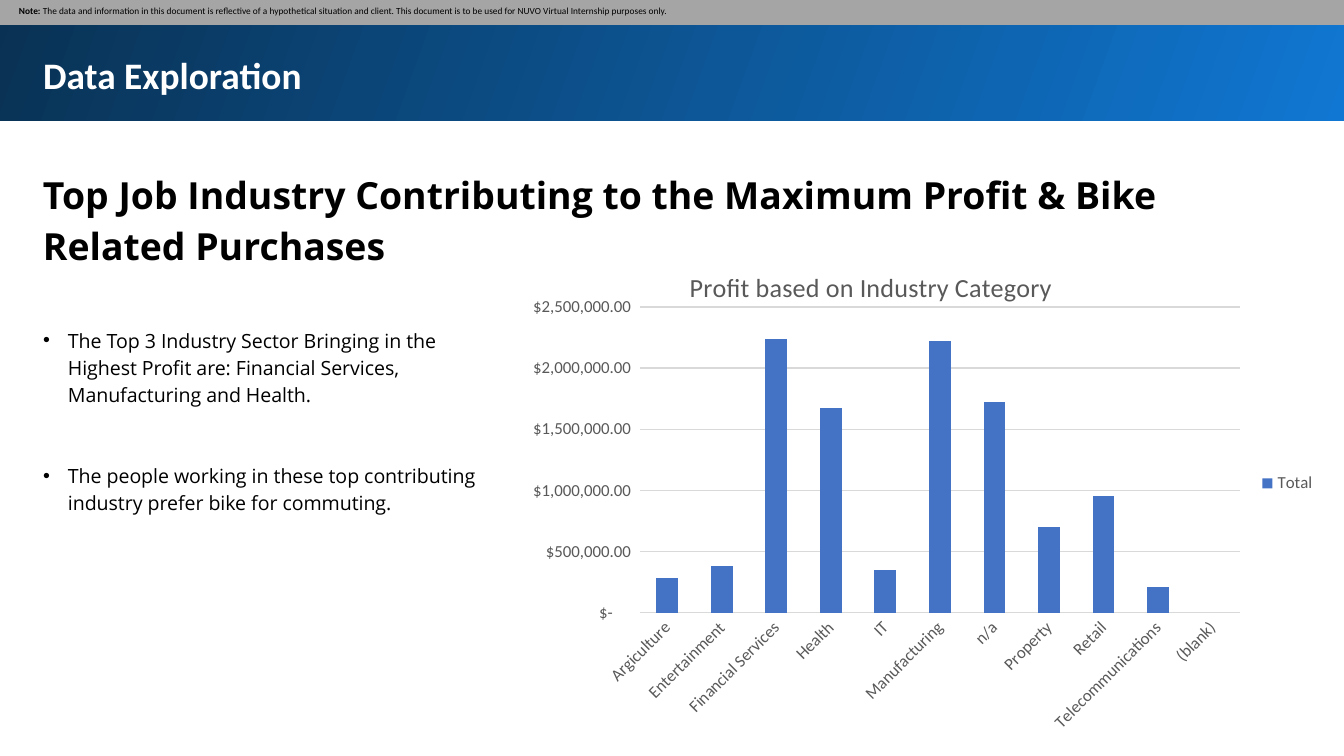
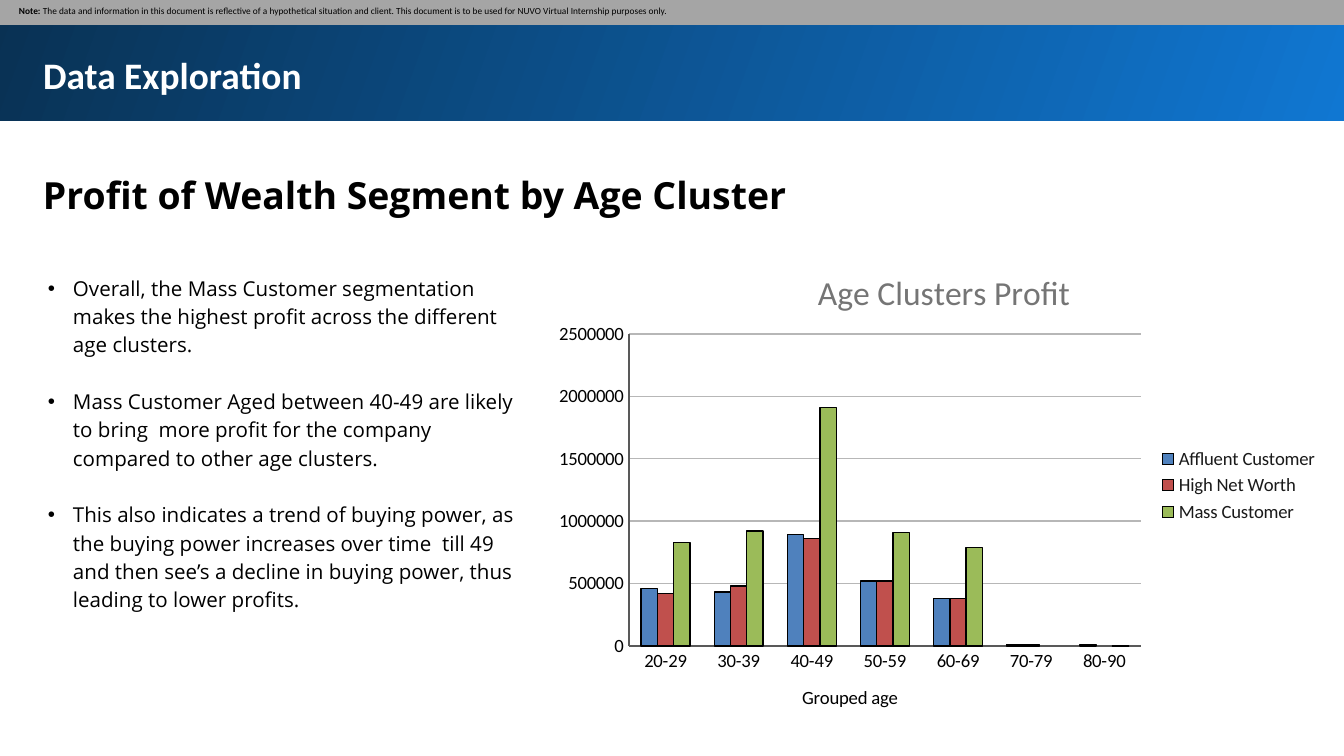
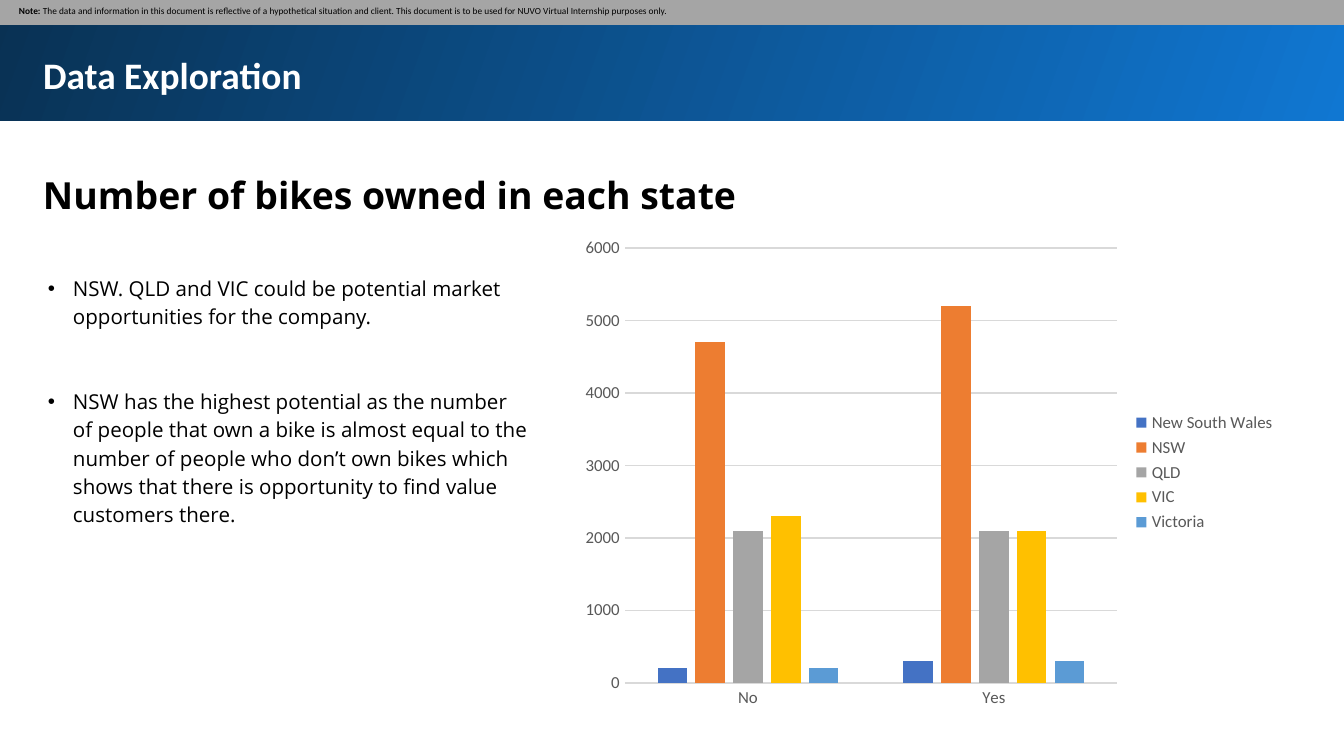
from lxml import etree
from pptx import Presentation
from pptx import util as u
from pptx.chart.data import CategoryChartData
from pptx.dml.color import RGBColor
from pptx.enum import chart as ch, shapes, text
from pptx.oxml.ns import qn

EMU_PER_PIXEL = 914400 / 134.4
COLORS = {
    "black": "000000", "white": "FFFFFF", "note": "A5A5A5",
    "band_light": "1077D2", "band_dark": "093153",
    "label": "595959", "grid": "D9D9D9", "grid_dark": "B7B7B7",
    "title_gray": "757575", "legend_dark": "1A1A1A",
    "blue": "4472C4", "orange": "ED7D31", "gray": "A5A5A5",
    "gold": "FFC000", "sky": "5B9BD5",
    "steel": "4F81BD", "red": "C0504D", "green": "9BBB59",
}
rgb = {name: RGBColor.from_string(value) for name, value in COLORS.items()}
BODY_FONT, HEADING_FONT = "Calibri", "Open Sans"
INSET = 13
DOLLARS = ('_-[$$-409]* #,##0.00_ ;_-[$$-409]* \\-#,##0.00\\ ;'
           '_-[$$-409]* "-"??_ ;_-@_ ')


def px(*lengths):
    return [u.Emu(round(n * EMU_PER_PIXEL)) for n in lengths]


def style(font, size, color, name=BODY_FONT, bold=False):
    font.size, font.name, font.bold = u.Pt(size), name, bold
    font.color.rgb = rgb[color]


# What each slide holds; boxes are left, top, width, height
SLIDES = [
    {
        "heading": "Top Job Industry Contributing to the Maximum Profit "
                   "& Bike Related Purchases",
        "heading_height": 128,
        "list_box": (30, 312, 473, 271), "list_size": 10.5, "list_gap": 29,
        "bullets": [
            "The Top 3 Industry Sector Bringing in the Highest Profit are: "
            "Financial Services, Manufacturing and Health.",
            "The people working in these top contributing industry prefer "
            "bike for commuting.",
        ],
        "chart_box": (515, 224, 814, 519), "plot_box": (640, 307, 600, 306),
        "title": ("Profit based on Industry Category", 14, "label", 685, 265),
        "categories": ["Argiculture", "Entertainment", "Financial Services",
                       "Health", "IT", "Manufacturing", "n/a", "Property",
                       "Retail", "Telecommunications", "(blank)"],
        "series": [("Total", "blue", [280000, 380000, 2240000, 1670000, 350000,
                                      2220000, 1720000, 700000, 950000,
                                      210000, None])],
        "maximum": 2500000, "step": 500000, "format": DOLLARS,
        "size": 9, "axis_color": "label", "legend_color": "label",
        "grid": "grid", "gap": 150, "overlap": 0, "label_turn": -45,
    },
    {
        "heading": "Profit of Wealth Segment by Age Cluster",
        "heading_height": 75,
        "list_box": (35, 259, 508, 368), "list_size": 11, "list_gap": 15.2,
        "bullets": [
            "Overall, the Mass Customer segmentation makes the highest profit "
            "across the different age clusters.",
            "Mass Customer Aged between 40-49 are likely to bring  more profit "
            "for the company compared to other age clusters.",
            "This also indicates a trend of buying power, as the buying power "
            "increases over time  till 49 and then see’s a decline in buying "
            "power, thus leading to lower profits.",
        ],
        "chart_box": (543, 235, 789, 501), "plot_box": (629, 334, 512, 312),
        "title": ("Age Clusters Profit", 18, "title_gray", 812, 263),
        "axis_title": "Grouped age",
        "categories": ["20-29", "30-39", "40-49", "50-59", "60-69", "70-79",
                       "80-90"],
        "series": [
            ("Affluent Customer", "steel",
             [460000, 430000, 890000, 520000, 380000, 10000, 10000]),
            ("High Net Worth", "red",
             [420000, 480000, 860000, 520000, 380000, 10000, None]),
            ("Mass Customer", "green",
             [830000, 920000, 1910000, 910000, 790000, None, 0]),
        ],
        "outline": "black",
        "maximum": 2500000, "step": 500000, "format": "General",
        "size": 10, "axis_color": "black", "legend_color": "legend_dark",
        "grid": "grid_dark", "axis_line": "label", "value_line": "label",
        "gap": 150, "overlap": 0,
    },
    {
        "heading": "Number of bikes owned in each state",
        "heading_height": 75,
        "list_box": (35, 259, 508, 282), "list_size": 11, "list_gap": 30.4,
        "bullets": [
            "NSW. QLD and VIC could be potential market opportunities for the "
            "company.",
            "NSW has the highest potential as the number of people that own a "
            "bike is almost equal to the number of people who don’t own bikes "
            "which shows that there is opportunity to find value customers "
            "there.",
        ],
        "chart_box": (571, 228, 718, 489), "plot_box": (625, 248, 492, 435),
        "categories": ["No", "Yes"],
        "series": [
            ("New South Wales", "blue", [200, 300]),
            ("NSW", "orange", [4700, 5200]),
            ("QLD", "gray", [2100, 2100]),
            ("VIC", "gold", [2300, 2100]),
            ("Victoria", "sky", [200, 300]),
        ],
        "maximum": 6000, "step": 1000, "format": "General",
        "size": 9, "axis_color": "label", "legend_color": "label",
        "grid": "grid", "axis_line": "grid", "gap": 219, "overlap": -27,
    },
]

deck = Presentation()
deck.slide_width, deck.slide_height = px(1344, 756)

for content in SLIDES:
    page = deck.slides.add_slide(deck.slide_layouts[1])
    title, body = page.placeholders

    # Gradient band, behind everything else
    band = page.shapes.add_shape(shapes.MSO_SHAPE.RECTANGLE,
                                 *px(-3, -3, 1351, 124))
    band.shadow.inherit = False
    band.line.fill.background()
    band.fill.gradient()
    band.fill.gradient_angle = 160
    for stop, position, color in zip(band.fill.gradient_stops, (0, 1),
                                     ("band_light", "band_dark")):
        stop.position, stop.color.rgb = position, rgb[color]
    page.shapes._spTree.insert(2, band._element)

    # Title, heading and list share one frame setup
    heading = page.shapes.add_textbox(0, 0, 0, 0)
    boxes = [
        (title, (30, 39, 1259, 69), ["Data Exploration"],
         (20, "white", BODY_FONT, True), 1),
        (heading, (30, 152, 1259, content["heading_height"]),
         [content["heading"]], (20, "black", HEADING_FONT, True), 1.15),
        (body, content["list_box"], content["bullets"],
         (content["list_size"], "black", HEADING_FONT), 1.15),
    ]
    for box, place, lines, look, spacing in boxes:
        box.left, box.top, box.width, box.height = px(*place)
        frame = box.text_frame
        frame.word_wrap = True
        frame.auto_size = text.MSO_AUTO_SIZE.NONE
        frame.vertical_anchor = text.MSO_ANCHOR.TOP
        (frame.margin_left, frame.margin_top,
         frame.margin_right, frame.margin_bottom) = px(*[INSET] * 4)
        for number, line in enumerate(lines):
            para = frame.add_paragraph() if number else frame.paragraphs[0]
            para.alignment = text.PP_ALIGN.LEFT
            para.line_spacing = spacing
            para.space_before = u.Pt(content["list_gap"] if number else 0)
            para.space_after = u.Pt(0)
            span = para.add_run()
            span.text = line
            style(span.font, *look)
            if box is body:
                props = para._p.get_or_add_pPr()
                indent = px(25)[0]
                props.set("marL", str(indent))
                props.set("indent", str(-indent))
                etree.SubElement(props, qn("a:buFont"), typeface="Arial")
                etree.SubElement(props, qn("a:buChar"), char="•")

    # Column chart
    data = CategoryChartData(number_format=content["format"])
    data.categories = content["categories"]
    for name, color, values in content["series"]:
        data.add_series(name, values)
    chart = page.shapes.add_chart(ch.XL_CHART_TYPE.COLUMN_CLUSTERED,
                                  *px(*content["chart_box"]), data).chart
    style(chart.font, content["size"], "black")
    plot = chart.plots[0]
    plot.gap_width, plot.overlap = content["gap"], content["overlap"]
    plot.vary_by_categories = False
    for series, (name, color, values) in zip(plot.series, content["series"]):
        series.invert_if_negative = False
        series.format.fill.solid()
        series.format.fill.fore_color.rgb = rgb[color]
        if "outline" in content:
            series.format.line.color.rgb = rgb[content["outline"]]
            series.format.line.width = u.Pt(0.75)

    chart.has_legend = True
    chart.legend.position = ch.XL_LEGEND_POSITION.RIGHT
    chart.legend.include_in_layout = False
    style(chart.legend.font, content["size"], content["legend_color"])

    # Axes
    category, value = chart.category_axis, chart.value_axis
    for axis, line in ((category, "axis_line"), (value, "value_line")):
        axis.major_tick_mark = axis.minor_tick_mark = ch.XL_TICK_MARK.NONE
        style(axis.tick_labels.font, content["size"], content["axis_color"])
        if line in content:
            axis.format.line.color.rgb = rgb[content[line]]
            axis.format.line.width = u.Pt(0.75)
        else:
            axis.format.line.fill.background()
    value.minimum_scale, value.maximum_scale = 0, content["maximum"]
    value.major_unit = content["step"]
    value.tick_labels.number_format = content["format"]
    value.tick_labels.number_format_is_linked = False
    value.major_gridlines.format.line.color.rgb = rgb[content["grid"]]
    value.major_gridlines.format.line.width = u.Pt(0.75)
    if "label_turn" in content:
        turn = category._element.find(qn("c:txPr")).find(qn("a:bodyPr"))
        turn.set("rot", str(content["label_turn"] * 60000))
        turn.set("vert", "horz")
    if "axis_title" in content:
        span = category.axis_title.text_frame.paragraphs[0].add_run()
        span.text = content["axis_title"]
        style(span.font, content["size"], "black")

    # Chart title, and fixed places for it and the plot
    plot_area = chart._chartSpace.chart.plotArea
    fixed = [(plot_area, 0, content["plot_box"])]
    chart.has_title = "title" in content
    if chart.has_title:
        wording, size, color, left, top = content["title"]
        span = chart.chart_title.text_frame.paragraphs[0].add_run()
        span.text = wording
        style(span.font, size, color)
        chart.chart_title.include_in_layout = False
        fixed.append((chart.chart_title._element, 1, (left, top)))
    chart_left, chart_top, chart_width, chart_height = content["chart_box"]
    for element, index, place in fixed:
        for old in element.findall(qn("c:layout")):
            element.remove(old)
        layout = etree.Element(qn("c:layout"))
        element.insert(index, layout)
        manual = etree.SubElement(layout, qn("c:manualLayout"))
        settings = [("xMode", "edge"), ("yMode", "edge"),
                    ("x", (place[0] - chart_left) / chart_width),
                    ("y", (place[1] - chart_top) / chart_height)]
        if element is plot_area:
            settings = [("layoutTarget", "inner"), *settings,
                        ("w", place[2] / chart_width),
                        ("h", place[3] / chart_height)]
        for tag, setting in settings:
            etree.SubElement(manual, qn("c:" + tag), val=str(setting))

    # Note strip along the top edge
    note = page.shapes.add_shape(shapes.MSO_SHAPE.RECTANGLE,
                                 *px(-3, -3, 1348, 28))
    note.shadow.inherit = False
    note.line.fill.background()
    note.fill.solid()
    note.fill.fore_color.rgb = rgb["note"]
    frame = note.text_frame
    frame.word_wrap = True
    frame.vertical_anchor = text.MSO_ANCHOR.MIDDLE
    (frame.margin_left, frame.margin_top,
     frame.margin_right, frame.margin_bottom) = px(22, 7, 7, 7)
    para = frame.paragraphs[0]
    para.alignment = text.PP_ALIGN.LEFT
    for wording, bold in (
            ("Note: ", True),
            ("The data and information in this document is reflective of a "
             "hypothetical situation and client. This document is to be used "
             "for NUVO Virtual Internship purposes only.", False)):
        span = para.add_run()
        span.text = wording
        style(span.font, 5, "black", bold=bold)

deck.save("out.pptx")
